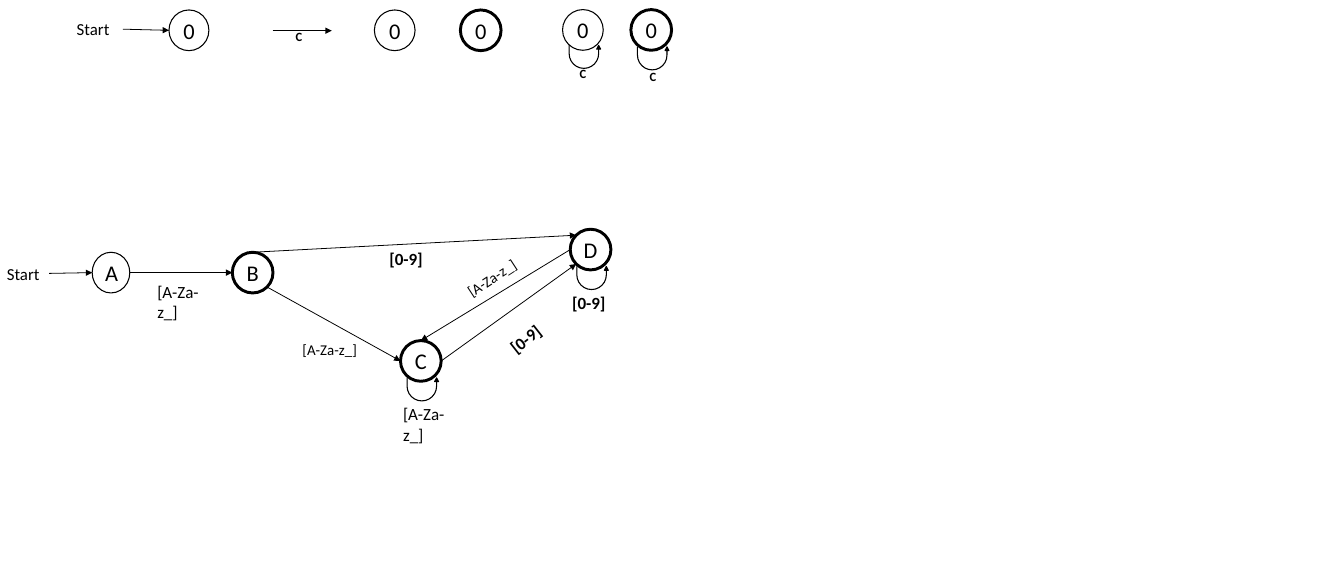
"""Draw a finite automaton for identifiers, with a legend of its symbols."""
from dataclasses import dataclass
from math import cos, radians, sin

from lxml.etree import SubElement
from pptx import Presentation
from pptx.dml.color import RGBColor
from pptx.enum.shapes import MSO_CONNECTOR, MSO_SHAPE
from pptx.enum.text import MSO_ANCHOR, PP_ALIGN
from pptx.oxml.ns import qn
from pptx.util import Inches, Pt


@dataclass(frozen=True)
class Theme:
    ink: RGBColor = RGBColor(0, 0, 0)
    font: str = "Calibri"
    state: float = 21
    label: float = 16
    start: float = 15.8
    slant: float = 14
    symbol: float = 11.8
    thin: float = 1
    accepting: float = 2.75
    edge: float = 0.75


theme = Theme()
deck = Presentation()
deck.slide_width, deck.slide_height = Inches(17.5), Inches(7.5)
COLUMN, ROW = deck.slide_width / 175, deck.slide_height / 75
slide = deck.slides.add_slide(deck.slide_layouts[6])


def place(*cells):
    """Turn alternating columns and rows into slide lengths."""
    return [round(cell * (ROW if index % 2 else COLUMN)) for index, cell in enumerate(cells)]


def write(holder, text, size, bold=False, align=PP_ALIGN.LEFT):
    """Write one formatted line of text into a shape."""
    holder.text_frame.text = text
    paragraph = holder.text_frame.paragraphs[0]
    paragraph.alignment = align
    font = paragraph.runs[0].font
    for name, value in {"name": theme.font, "size": Pt(size), "bold": bold}.items():
        setattr(font, name, value)
    font.color.rgb = theme.ink


DIAMETER = 5.3
LOOP_WIDTH, LOOP_HEIGHT, LOOP_SHIFT = 4.1, 3, -1.8
LOOP_BENDS = (0, 0.085, 0.164, 0.717, 1)

# key: letter, centre column, centre row, width, outline, loop drop
states = {
    "legend start": ("0", 24.6, 3.95, 5.2, theme.thin, None),
    "legend state": ("0", 51.4, 3.95, DIAMETER, theme.thin, None),
    "legend accepting": ("0", 62.6, 3.95, DIAMETER, theme.accepting, None),
    "legend loop": ("0", 75.9, 3.9, DIAMETER, theme.thin, 2),
    "legend accepting loop": ("0", 84.8, 3.9, DIAMETER, theme.accepting, 2.2),
    "A": ("A", 14.45, 35.5, 4.9, theme.thin, None),
    "B": ("B", 32.9, 35.5, DIAMETER, theme.accepting, None),
    "C": ("C", 54.8, 47.0, DIAMETER, theme.accepting, 2.2),
    "D": ("D", 76.9, 32.5, DIAMETER, theme.accepting, 2.2),
}
for letter, column, row, width, outline, drop in states.values():
    circle = slide.shapes.add_shape(MSO_SHAPE.OVAL, *place(
        column - width / 2, row - DIAMETER / 2, width, DIAMETER))
    circle.shadow.inherit = False
    circle.fill.background()
    circle.line.color.rgb = theme.ink
    circle.line.width = Pt(outline)
    circle.text_frame.vertical_anchor = MSO_ANCHOR.MIDDLE
    write(circle, letter, theme.state, align=PP_ALIGN.CENTER)
    if drop is None:
        continue
    loop = slide.shapes.add_shape(MSO_SHAPE.U_TURN_ARROW, *place(
        column + LOOP_SHIFT, row + drop, LOOP_WIDTH, LOOP_HEIGHT))
    for index, bend in enumerate(LOOP_BENDS):
        loop.adjustments[index] = bend
    loop.rotation = 180
    loop.element.spPr.find(qn("a:xfrm")).set("flipH", "1")
    loop.shadow.inherit = False
    loop.fill.solid()
    loop.fill.fore_color.rgb = theme.ink
    loop.line.color.rgb = theme.ink
    loop.line.width = Pt(theme.thin)

edges = [
    ((16, 3.8), ("legend start", 180)),
    ((35.5, 4), (43.2, 4)),
    ((6.4, 35.6), ("A", 180)),
    (("A", 0), ("B", 180)),
    (("D", 180), ("C", 270)),
    (("C", 0), ("D", 135)),
    (("B", 45), ("C", 180)),
    (("B", 270), ("D", 225)),
]
for edge in edges:
    ends = []
    for anchor, angle in edge:
        if anchor in states:
            _, column, row, width, _, _ = states[anchor]
            ends += [column + width / 2 * cos(radians(angle)),
                     row + DIAMETER / 2 * sin(radians(angle))]
        else:
            ends += [anchor, angle]
    arrow = slide.shapes.add_connector(MSO_CONNECTOR.STRAIGHT, *place(*ends))
    arrow.line.color.rgb = theme.ink
    arrow.line.width = Pt(theme.edge)
    SubElement(arrow.line._get_or_add_ln(), qn("a:tailEnd")).set("type", "triangle")
    SubElement(arrow.element.spPr, qn("a:effectLst"))

LETTERS, DIGITS = "[A-Za-z_]", "[0-9]"
labels = [
    ("Start", 9, 2, 6.6, 3.7, theme.start, False, 0),
    ("Start", -0.1, 33.8, 6.6, 3.7, theme.start, False, 0),
    ("C", 37.5, 3.3, 2.9, 3, theme.symbol, True, 0),
    ("C", 74.5, 8.1, 2.9, 3, theme.symbol, True, 0),
    ("C", 83.6, 8.5, 2.9, 3, theme.symbol, True, 0),
    (LETTERS, 19.5, 36.1, 10, 3.7, theme.label, False, 0),
    (LETTERS, 51.5, 52.1, 10, 3.7, theme.label, False, 0),
    (LETTERS, 59.5, 34.5, 9.1, 3.4, theme.slant, False, 326.9),
    (LETTERS, 38.4, 43.8, 9.1, 3.4, theme.slant, False, 0),
    (DIGITS, 73.5, 37.6, 6.8, 3.7, theme.label, True, 0),
    (DIGITS, 65.2, 42.2, 6.8, 3.7, theme.label, True, 321.9),
    (DIGITS, 49.7, 31.9, 6.8, 3.7, theme.label, True, 0),
]
for text, column, row, width, height, size, bold, turn in labels:
    label = slide.shapes.add_textbox(*place(column, row, width, height))
    label.rotation = turn
    label.text_frame.word_wrap = False
    write(label, text, size, bold)

deck.save("out.pptx")
